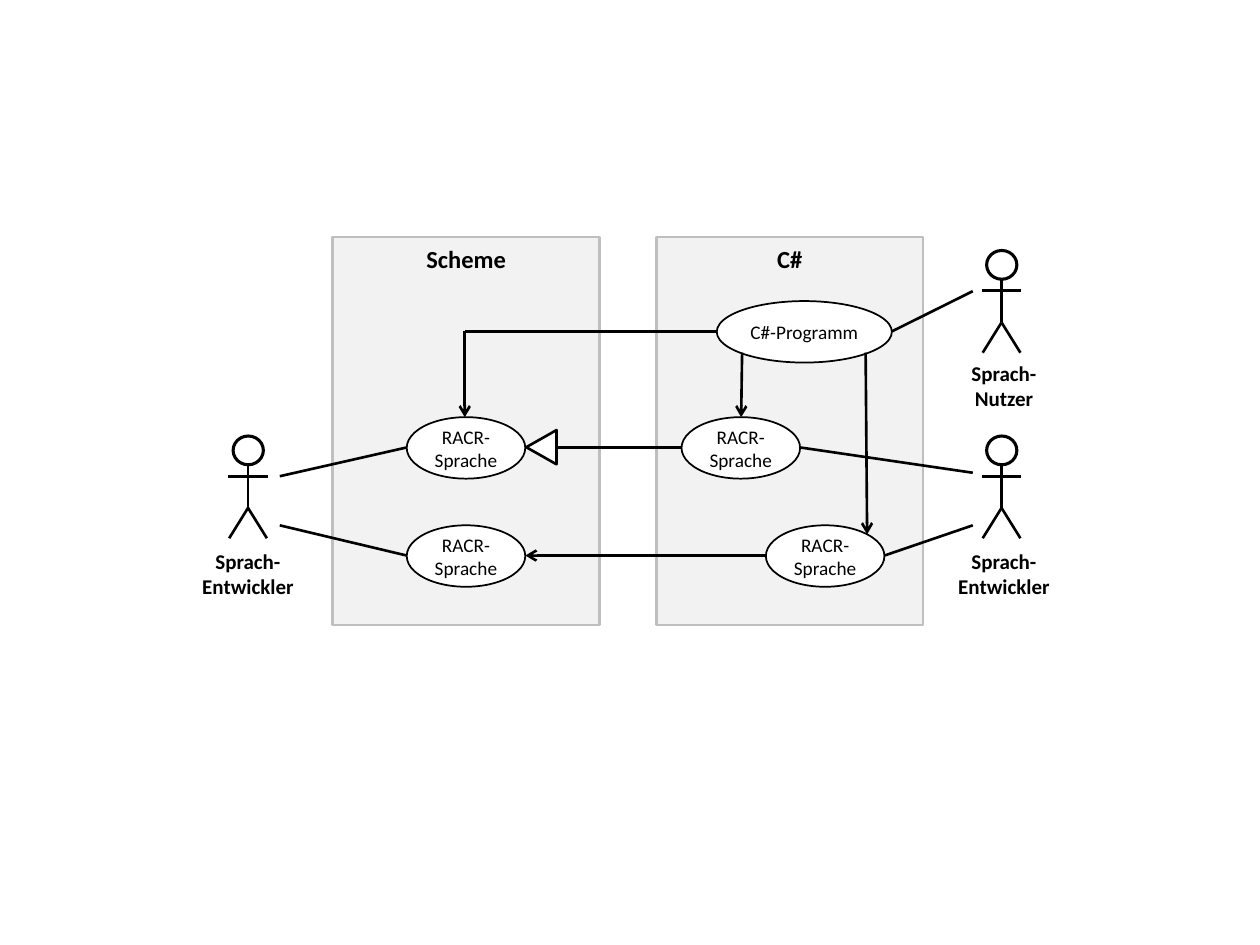
"""Build the use-case slide for Scheme and C# languages with their actors."""
import dataclasses

import pptx
import pptx.dml.color
import pptx.enum.shapes
import pptx.enum.text
import pptx.oxml.ns
import pptx.util
from lxml import etree

Cm, Pt = pptx.util.Cm, pptx.util.Pt
RGB = pptx.dml.color.RGBColor
SHAPE = pptx.enum.shapes.MSO_SHAPE
ANCHOR = pptx.enum.text.MSO_ANCHOR


@dataclasses.dataclass(frozen=True)
class Theme:
    font: str = "Calibri"
    ink: RGB = RGB(0x00, 0x00, 0x00)
    paper: RGB = RGB(0xFF, 0xFF, 0xFF)
    panel: RGB = RGB(0xF2, 0xF2, 0xF2)
    border: RGB = RGB(0xBF, 0xBF, 0xBF)
    heading: float = 14
    label: float = 12
    body: float = 11
    thin: float = 1
    line: float = 1.5
    head: float = 1.75


theme = Theme()


def add_box(shapes, kind, box, text="", fill=theme.paper, line=theme.ink, width=theme.line,
            size=theme.body, bold=False, anchor=ANCHOR.MIDDLE, top=0):
    box = [Cm(v) for v in box]
    sp = shapes.add_shape(kind, *box) if kind else shapes.add_textbox(*box)
    if kind:
        sp.shadow.inherit = False
        sp.fill.solid()
        sp.fill.fore_color.rgb = fill
        sp.line.color.rgb = line
        sp.line.width = Pt(width)
    if text:
        tf = sp.text_frame
        tf.word_wrap = True
        tf.vertical_anchor = anchor
        tf.margin_left = tf.margin_right = tf.margin_bottom = 0
        tf.margin_top = Cm(top)
        tf.text = text
        for p in tf.paragraphs:
            p.alignment = pptx.enum.text.PP_ALIGN.CENTER
            p.font.name = theme.font
            p.font.size = Pt(size)
            p.font.bold = bold
            p.font.color.rgb = theme.ink
    return sp


def add_line(shapes, x1, y1, x2, y2, arrow=None):
    cx = shapes.add_connector(pptx.enum.shapes.MSO_CONNECTOR.STRAIGHT,
                              Cm(x1), Cm(y1), Cm(x2), Cm(y2))
    cx.line.color.rgb = theme.ink
    cx.line.width = Pt(theme.line)
    if arrow:
        ln = cx.line._get_or_add_ln()
        etree.SubElement(ln, pptx.oxml.ns.qn("a:tailEnd"), type=arrow)
    etree.SubElement(cx._element.spPr, pptx.oxml.ns.qn("a:effectLst"))


prs = pptx.Presentation()
prs.slide_width, prs.slide_height = Cm(25.4), Cm(19.05)
s = prs.slides.add_slide(prs.slide_layouts[6])

for x, name in ((6.71, "Scheme"), (13.23, "C#")):
    add_box(s.shapes, SHAPE.RECTANGLE, (x, 4.78, 5.38, 7.82), name, fill=theme.panel,
            line=theme.border, size=theme.heading, bold=True, anchor=ANCHOR.TOP, top=0.13)

add_box(s.shapes, SHAPE.OVAL, (14.45, 6.07, 3.53, 1.24), "C#-Programm", width=theme.thin)
for x, y in ((13.74, 8.41), (15.44, 10.59), (8.2, 8.41), (8.2, 10.59)):
    add_box(s.shapes, SHAPE.OVAL, (x, y, 2.39, 1.24), "RACR-Sprache", width=theme.thin)

for x1, y1, x2, y2, arrow in (
    (14.96, 7.11, 14.94, 8.41, "arrow"),
    (17.45, 7.11, 17.48, 10.77, "arrow"),
    (14.45, 6.68, 9.37, 6.68, None),
    (9.37, 6.68, 9.37, 8.41, "arrow"),
    (15.44, 11.2, 10.59, 11.2, "arrow"),
    (13.74, 9.02, 10.59, 9.02, "triangle"),
    (19.61, 5.87, 17.98, 6.68, None),
    (19.61, 9.53, 16.13, 9.02, None),
    (19.61, 10.59, 17.83, 11.2, None),
    (5.64, 9.6, 8.2, 9.02, None),
    (5.64, 10.59, 8.2, 11.2, None),
):
    add_line(s.shapes, x1, y1, x2, y2, arrow)

sp = add_box(s.shapes, SHAPE.ISOSCELES_TRIANGLE, (10.57, 8.71, 0.69, 0.61))
sp.rotation = 270

for x, y, label_x, label_y, role in (
    (20.19, 5.05, 18.92, 7.26, "Nutzer"),
    (20.19, 8.79, 18.92, 11.05, "Entwickler"),
    (5.0, 8.79, 3.68, 11.05, "Entwickler"),
):
    actor = s.shapes.add_group_shape().shapes
    add_box(actor, SHAPE.OVAL, (x - 0.3, y, 0.61, 0.58), width=theme.head)
    hip = y + 1.45
    add_line(actor, x, hip, x, y + 0.58)
    add_line(actor, x - 0.4, y + 0.81, x + 0.4, y + 0.81)
    for foot in (x - 0.38, x + 0.38):
        add_line(actor, foot, y + 2.06, x, hip)
    add_box(s.shapes, None, (label_x, label_y, 2.64, 1.04), f"Sprach-\n{role}",
            size=theme.label, bold=True, anchor=ANCHOR.TOP)

prs.save("out.pptx")
